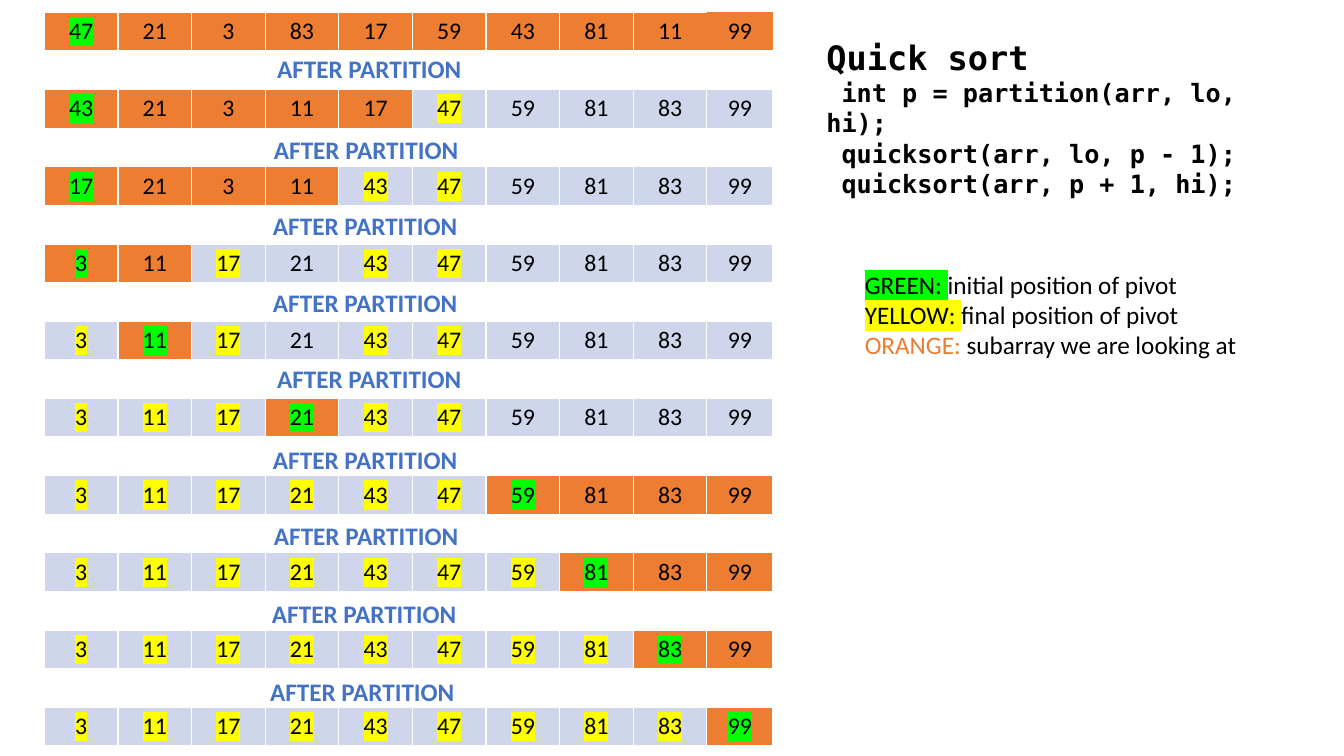
from lxml.etree import SubElement
from pptx import Presentation
from pptx.dml.color import RGBColor
from pptx.enum.text import MSO_ANCHOR, PP_ALIGN
from pptx.oxml import parse_xml
from pptx.oxml.ns import nsdecls, qn
from pptx.util import Pt

SANS, MONO = "Calibri", "DejaVu Sans Mono"
BLACK, BLUE, WHITE = "000000", "4472C4", "FFFFFF"
GREEN, YELLOW, ORANGE, PALE = "00FF00", "FFFF00", "ED7D31", "CFD5EA"

DONE = [3, 11, 17, 21, 43, 47, 59, 81, 83, 99]
STEPS = [
    ([47, 21, 3, 83, 17, 59, 43, 81, 11, 99], 0, 9),
    ([43, 21, 3, 11, 17, 47, 59, 81, 83, 99], 0, 4),
    ([17, 21, 3, 11, 43, 47, 59, 81, 83, 99], 0, 3),
    (DONE, 0, 1),
    (DONE, 1, 1),
    (DONE, 3, 3),
    (DONE, 6, 9),
    (DONE, 7, 9),
    (DONE, 8, 9),
    (DONE, 9, 9),
]
CODE = [
    "Quick sort",
    " int p = partition(arr, lo, hi);",
    " quicksort(arr, lo, p - 1);",
    " quicksort(arr, p + 1, hi);",
]
KEYS = [
    ("GREEN: ", "initial position of pivot", BLACK, GREEN),
    ("YELLOW: ", "final position of pivot", BLACK, YELLOW),
    ("ORANGE: ", "subarray we are looking at", ORANGE, None),
]
LABELS = [
    (190.8, 34.6), (188.6, 92.2), (187.9, 146.9),
    (187.9, 201.6), (190.8, 256.3), (187.9, 313.9),
    (188.6, 367.9), (187.2, 424.1), (185.8, 479.5),
]


def color(code):
    """Turn a hex string into a colour."""
    return RGBColor.from_string(code)


def style(run, size, ink=BLACK, face=SANS, bold=False, mark=None):
    """Format a run, with a highlight if one is given."""
    font = run.font
    font.size, font.name, font.bold = Pt(size), face, bold
    font.color.rgb = color(ink)
    if mark:
        light = parse_xml(f'<a:highlight {nsdecls("a")}><a:srgbClr val="{mark}"/></a:highlight>')
        run.font.fill._xPr.find(qn("a:solidFill")).addnext(light)


def frame(slide, box):
    """Add a wrapping text box and return its text frame."""
    text = slide.shapes.add_textbox(*map(Pt, box)).text_frame
    text.word_wrap = True
    return text


def edge(cell, bare):
    """Give a cell white borders, except on the bare sides."""
    props = cell._tc.get_or_add_tcPr()
    for spot, side in enumerate("LRTB"):
        line = SubElement(props, qn(f"a:ln{side}"), w="0" if side in bare else "12700")
        if side in bare:
            SubElement(line, qn("a:noFill"))
        else:
            SubElement(SubElement(line, qn("a:solidFill")), qn("a:srgbClr"), val=WHITE)
        props.insert(spot, line)


def write(cell, value, fill, mark):
    """Put a centred number in a filled cell."""
    cell.fill.solid()
    cell.fill.fore_color.rgb = color(fill)
    cell.text_frame.text = str(value)
    para = cell.text_frame.paragraphs[0]
    para.alignment = PP_ALIGN.CENTER
    style(para.runs[0], 17, mark=mark)


def trace(slide, box):
    """Draw the table of sorting steps, with a blank row between steps."""
    rows, cols = 2 * len(STEPS) - 1, len(DONE)
    grid = slide.shapes.add_table(rows, cols, *map(Pt, box)).table
    grid.first_row = grid.horz_banding = False
    for col in grid.columns:
        col.width = Pt(52.6)
    grid.columns[cols - 1].width = Pt(box[2] - 52.6 * (cols - 1))
    for row in grid.rows:
        row.height = Pt(box[3] / rows)
    for cell in grid.iter_cells():
        cell.margin_top = cell.margin_bottom = Pt(2.5)
        cell.vertical_anchor = MSO_ANCHOR.MIDDLE
        cell.fill.background()
    placed = set()
    for step, (values, low, high) in enumerate(STEPS):
        for col, value in enumerate(values):
            fill = ORANGE if low <= col <= high else PALE
            mark = GREEN if col == low else YELLOW if value in placed else None
            write(grid.cell(2 * step, col), value, fill, mark)
        placed.add(values[low])
    bare = {(0, cols - 2): "R", (0, cols - 1): "LRTB"}
    for row in range(rows):
        for col in range(cols):
            edge(grid.cell(row, col), bare.get((row, col), ""))


def code(slide, box):
    """Write the heading and the lines of code."""
    text = frame(slide, box)
    text.text = "\n".join(CODE)
    for spot, para in enumerate(text.paragraphs):
        style(para.runs[0], 18 if spot else 24, face=MONO, bold=True)


def legend(slide, box):
    """Explain the three colours."""
    text = frame(slide, box)
    text.text = "\n".join(key[0] for key in KEYS)
    for para, (_, note, ink, mark) in zip(text.paragraphs, KEYS):
        style(para.runs[0], 18, ink, mark=mark)
        run = para.add_run()
        run.text = note
        style(run, 18)


def label(slide, box):
    """Write the caption between two steps."""
    text = frame(slide, box)
    text.text = "AFTER PARTITION"
    style(text.paragraphs[0].runs[0], 18, BLUE, bold=True)


def main():
    """Build the slide and save it."""
    deck = Presentation()
    deck.slide_width, deck.slide_height = Pt(960), Pt(540)
    slide = deck.slides.add_slide(deck.slide_layouts[6])
    code(slide, (583.2, 23, 358.6, 101.5))
    trace(slide, (31.7, 8.8, 520.6, 524.4))
    legend(slide, (610.6, 188.6, 284.4, 72.7))
    for left, top in LABELS:
        label(slide, (left, top, 257.8, 28.8))
    deck.save("out.pptx")


if __name__ == "__main__":
    main()
